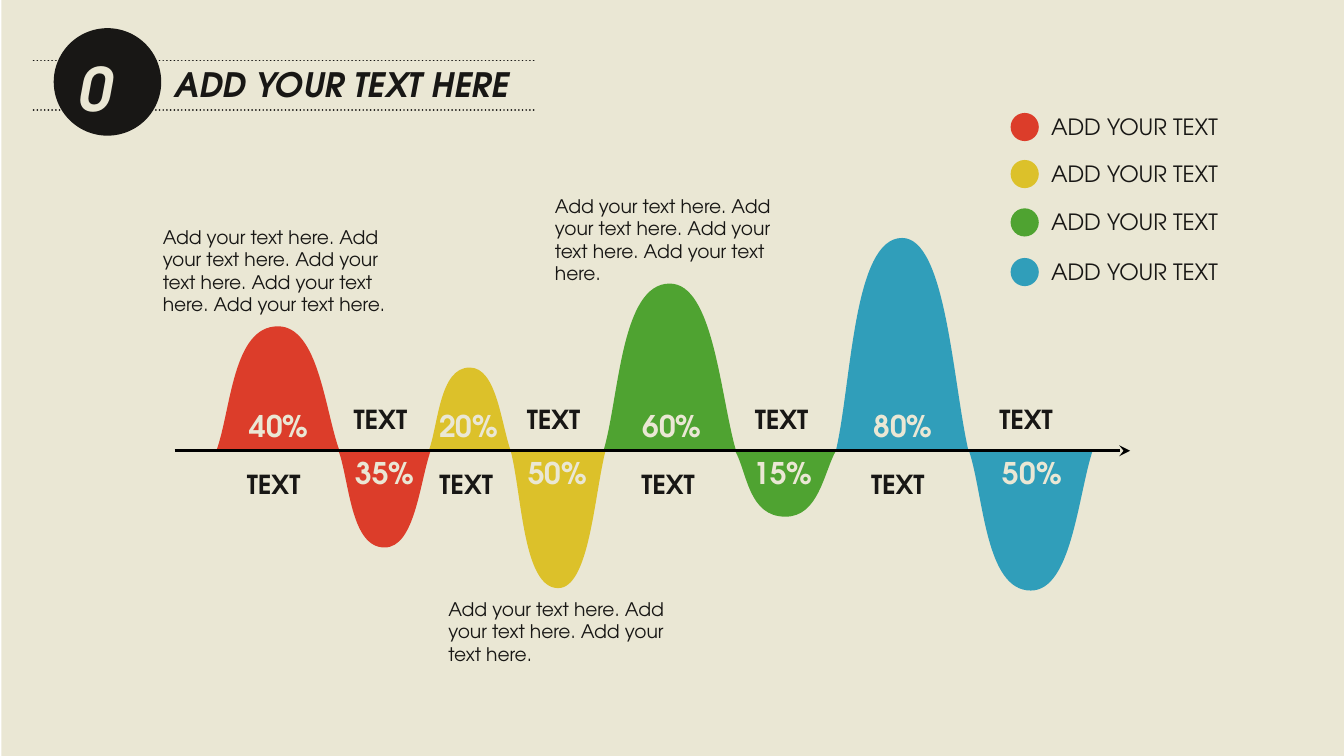
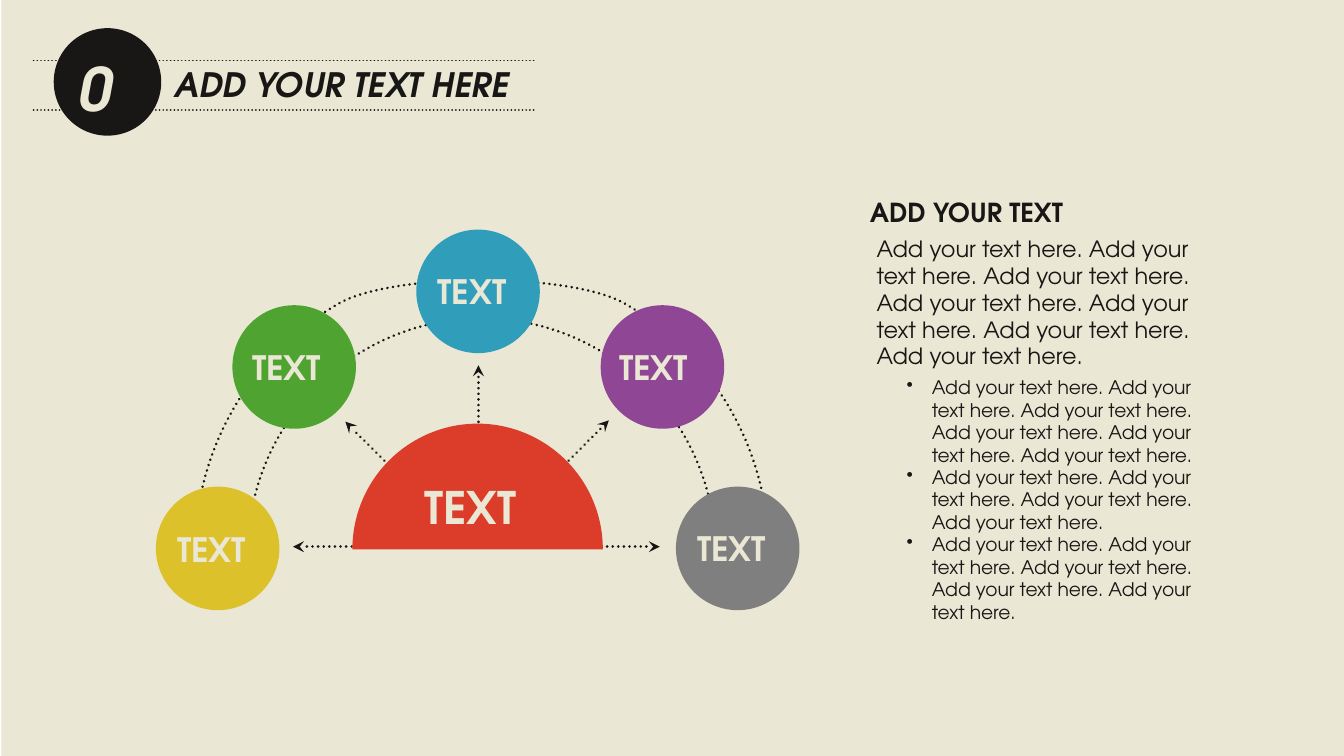
"""Builds a two-slide deck: a wave timeline and a half-circle cycle."""
import lxml.etree
import pptx
import pptx.dml.color
import pptx.enum.dml
import pptx.enum.shapes
import pptx.enum.text
import pptx.oxml.ns
import pptx.util

Pt = pptx.util.Pt
SHAPE = pptx.enum.shapes.MSO_SHAPE
FIT = pptx.enum.text.MSO_AUTO_SIZE.SHAPE_TO_FIT_TEXT
DOTTED = pptx.enum.dml.MSO_LINE.ROUND_DOT
FONT = "TeX Gyre Adventor"
INK, CREAM, BLACK = "181715", "EAE7D4", "000000"
RED, YELLOW, GREEN, BLUE = "DC3D2A", "DCC12A", "4FA331", "309EBA"
PURPLE, GRAY = "8F4695", "7F7F7F"
SENTENCE = "Add your text here."
HEADER_BOX = (18, 15.1, 268.6, 57.6)


def colour(code):
    """Turn a hex string into a colour."""
    return pptx.dml.color.RGBColor.from_string(code)


def apply(target, values):
    """Set every attribute named in a dict of format values."""
    for name, value in values.items():
        setattr(target, name, value)


def add_element(parent, tag, **attributes):
    """Append a drawing element to an XML parent."""
    return lxml.etree.SubElement(parent, pptx.oxml.ns.qn(tag), attributes)


def repeat(count):
    """Join the filler sentence a number of times."""
    return " ".join([SENTENCE] * count)


def fill_shape(shape, fill):
    """Give a shape a flat fill without line or shadow."""
    shape.shadow.inherit = False
    shape.fill.solid()
    shape.fill.fore_color.rgb = colour(fill)
    shape.line.fill.background()


def draw_stroke(line, width, ink=INK, dash=DOTTED):
    """Style a line, with round dots when dashed."""
    line.color.rgb = colour(ink)
    apply(line, {"width": Pt(width), "dash_style": dash})
    if dash:
        line._get_or_add_ln().set("cap", "rnd")


def add_solid(page, kind, box, fill):
    """Add a flat preset shape."""
    shape = page.shapes.add_shape(kind, *map(Pt, box))
    fill_shape(shape, fill)


def add_text(page, box, text, size, ink=INK, wrap=False, bullet=False, **style):
    """Add a text box with one paragraph per line of text."""
    frame = page.shapes.add_textbox(*map(Pt, box)).text_frame
    apply(frame, {"word_wrap": wrap, "auto_size": FIT})
    for index, line in enumerate(text.split("\n")):
        para = frame.add_paragraph() if index else frame.paragraphs[0]
        span = para.add_run()
        span.text = line
        apply(span.font, {"name": FONT, "size": Pt(size), **style})
        span.font.color.rgb = colour(ink)
        if bullet:
            add_bullet(para, 13.5)


def add_bullet(para, indent):
    """Give a paragraph a hanging round bullet."""
    properties = para._p.get_or_add_pPr()
    properties.set("marL", str(Pt(indent)))
    properties.set("indent", str(-Pt(indent)))
    tint = add_element(properties, "a:buClr")
    add_element(tint, "a:srgbClr", val=INK)
    add_element(properties, "a:buChar", char="•")


def add_line(page, start, end, width, ink=INK, dash=DOTTED, tips=()):
    """Add a straight line with arrowheads at the named tips."""
    straight = pptx.enum.shapes.MSO_CONNECTOR.STRAIGHT
    line = page.shapes.add_connector(straight, *map(Pt, (*start, *end)))
    draw_stroke(line.line, width, ink, dash)
    for tip in tips:
        add_element(line.line._get_or_add_ln(), tip, type="stealth")
    add_element(line._element.spPr, "a:effectLst")


def add_outline(page, start, steps):
    """Add a closed freeform of steps: one point is a line, three a curve."""
    builder = page.shapes.build_freeform(*map(Pt, start))
    builder.add_line_segments([tuple(map(Pt, point)) for step in steps
                               for point in step], close=True)
    shape = builder.convert_to_shape()
    segments = iter(list(shape._element.iter(pptx.oxml.ns.qn("a:lnTo"))))
    for step in steps:
        parts = [next(segments) for _ in step]
        if len(parts) == 3:
            curve = lxml.etree.Element(pptx.oxml.ns.qn("a:cubicBezTo"))
            parts[0].addprevious(curve)
            for part in parts:
                curve.append(part[0])
                part.getparent().remove(part)
    return shape


def half_round(centre, base, radius, crown):
    """List the ten points of a half circle made of three curves."""
    across, up = crown
    left = [(-1, 0), (-1, 0.36), (-0.81, 0.69), (-0.5, 0.87), (-across, up)]
    right = [(-x, y) for x, y in reversed(left)]
    return [(centre + radius * x, base - radius * y) for x, y in left + right]


def curves(points):
    """Group the points after the first into curves."""
    return [points[index:index + 3] for index in range(1, len(points), 3)]


def add_header(page, box):
    """Draw the background and the numbered title band."""
    left, top, width, height = box
    add_solid(page, SHAPE.RECTANGLE, (0.72, 0, 719.28, 406), CREAM)
    for drop in (17.3, 43.9):
        add_line(page, (left, top + drop), (left + width, top + drop), 1)
    add_solid(page, SHAPE.OVAL, (left + 10.8, top, height, height), INK)
    bold = {"bold": True, "italic": True}
    add_text(page, (left + 68.4, top + 15.5, 193.7, 28.8),
             "ADD YOUR TEXT HERE", 18, **bold)
    add_text(page, (left + 16.9, top + 9, 49.7, 46), "01", 32, CREAM, **bold)


def add_wave(page, box, humps):
    """Draw humps above and below an arrowed axis, with their labels."""
    left, axis, width, _ = box
    for start, span, rise, fill, *_ in humps:
        points = [(left + start + span * x, axis - rise * y) for x, y in (
            (0, 0), (0.12, 0.32), (0.13, 1), (0.5, 1),
            (0.83, 1), (0.88, 0.33), (1, 0))]
        fill_shape(add_outline(page, points[0], curves(points)), fill)
    add_line(page, (left, axis), (left + width, axis), 1.5, BLACK, None,
             ("a:tailEnd",))
    for _, _, rise, _, share, share_left, text_left in humps:
        share_top, text_top = (-26.8, 6) if rise > 0 else (-1.3, -28.9)
        add_text(page, (left + share_left, axis + share_top, 46.8, 26.6),
                 share, 16, CREAM, bold=True)
        add_text(page, (left + text_left, axis + text_top, 47.5, 24.5),
                 "TEXT", 14, bold=True)


def add_legend(page, box, rows):
    """Draw a column of dots with captions."""
    left, top, width, _ = box
    for drop, fill in rows:
        row = top + drop
        add_solid(page, SHAPE.OVAL, (left, row, 15.1, 15.1), fill)
        add_text(page, (left + 14.6, row - 3.6, width - 14.4, 21.6),
                 "ADD YOUR TEXT", 12)


def add_cycle(page, box, stations):
    """Draw a half ring of stations around a half disc."""
    left, top, _, _ = box
    size = 66.2
    outer = half_round(left + 174.6, top + 173.5, 153.7, (0.31, 0.98))
    inner = half_round(left + 174.6, top + 173.5, 125.3, (0.19, 1.05))[::-1]
    ring = add_outline(page, outer[0],
                       curves(outer) + [inner[:1]] + curves(inner))
    ring.shadow.inherit = False
    ring.fill.background()
    draw_stroke(ring.line, 1.5)

    both, outward = ("a:headEnd", "a:tailEnd"), ("a:tailEnd",)
    arrows = [((172.8, 129.6), (172.8, 72.7), both),
              ((143.3, 144.7), (101.5, 102.9), both),
              ((200.2, 144.7), (242.7, 102.2), both),
              ((126, 169.9), (73.5, 169.9), outward),
              ((229.7, 169.9), (270, 169.9), outward)]
    for start, end, tips in arrows:
        add_line(page, (left + start[0], top + start[1]),
                 (left + end[0], top + end[1]), 1.5, tips=tips)
    for x, y, fill, _, _ in stations:
        add_solid(page, SHAPE.OVAL, (left + x, top + y, size, size), fill)
    disc = half_round(left + 172.4, top + 171.4, 67.1, (0.19, 1.05))
    fill_shape(add_outline(page, disc[0], curves(disc)), RED)
    add_text(page, (left + 136.8, top + 130.3, 71.3, 36), "TEXT", 24, CREAM,
             bold=True)
    for x, y, _, across, down in stations:
        add_text(page, (left + x + across, top + y + down, 56.9, 28.8),
                 "TEXT", 18, CREAM, bold=True)


def add_reading(page, box):
    """Write a heading, a paragraph and a bulleted list."""
    left, top, width, height = box
    add_text(page, (left + 3.6, top + 20.9, width - 3.6, 79.2), repeat(7), 12,
             wrap=True)
    add_text(page, (left, top, 125.3, 24.5), "ADD YOUR TEXT", 14, bold=True)
    add_text(page, (left + 19.8, top + 96.5, width - 19.8, height - 96.5),
             "\n".join(map(repeat, (6, 4, 5))), 10, wrap=True, bullet=True)


def build_timeline(page):
    """Fill the wave timeline slide."""
    add_header(page, HEADER_BOX)
    add_wave(page, (93.6, 241.5, 511.9, 0), [
        (22.3, 66, 66.7, RED, "40%", 33, 31.6),
        (87.8, 49.3, -51.8, RED, "35%", 89.8, 88.8),
        (136.1, 43.9, 44.6, YELLOW, "20%", 134.6, 134.8),
        (180, 50.8, -73.6, YELLOW, "50%", 182.2, 181.6),
        (229.7, 71, 89.6, GREEN, "60%", 243.5, 242.9),
        (300.2, 54, -35.3, GREEN, "15%", 303, 303.7),
        (354.2, 71, 114, BLUE, "80%", 367.2, 366),
        (425.5, 66.2, -74.9, BLUE, "50%", 436.5, 434.7)])
    add_legend(page, (541.4, 60.5, 119.5, 92.8),
               [(0, RED), (25.2, YELLOW), (51.1, GREEN), (77.7, BLUE)])
    for left, top, height, count in ((80.1, 117.4, 55.4, 5),
                                     (290.2, 100.7, 55.4, 4),
                                     (233.1, 316.6, 43.2, 3)):
        add_text(page, (left, top, 138.2, height), repeat(count), 10, wrap=True)


def build_cycle(page):
    """Fill the half-circle cycle slide."""
    add_header(page, HEADER_BOX)
    add_cycle(page, (83.5, 123, 344.9, 203.8), [
        (278.6, 137.7, GRAY, 4.3, 18.7),
        (0, 137.7, YELLOW, 4.3, 19),
        (139.5, 0, BLUE, 4.5, 18.4),
        (238.3, 40.5, PURPLE, 2.9, 18.9),
        (41, 40.5, GREEN, 3.6, 18.9)])
    add_reading(page, (458.9, 101.5, 190.1, 236.2))


def main():
    """Create the deck and save it."""
    deck = pptx.Presentation()
    apply(deck, {"slide_width": Pt(720), "slide_height": Pt(405)})
    for build in (build_timeline, build_cycle):
        build(deck.slides.add_slide(deck.slide_layouts[6]))
    deck.save("out.pptx")


if __name__ == "__main__":
    main()
